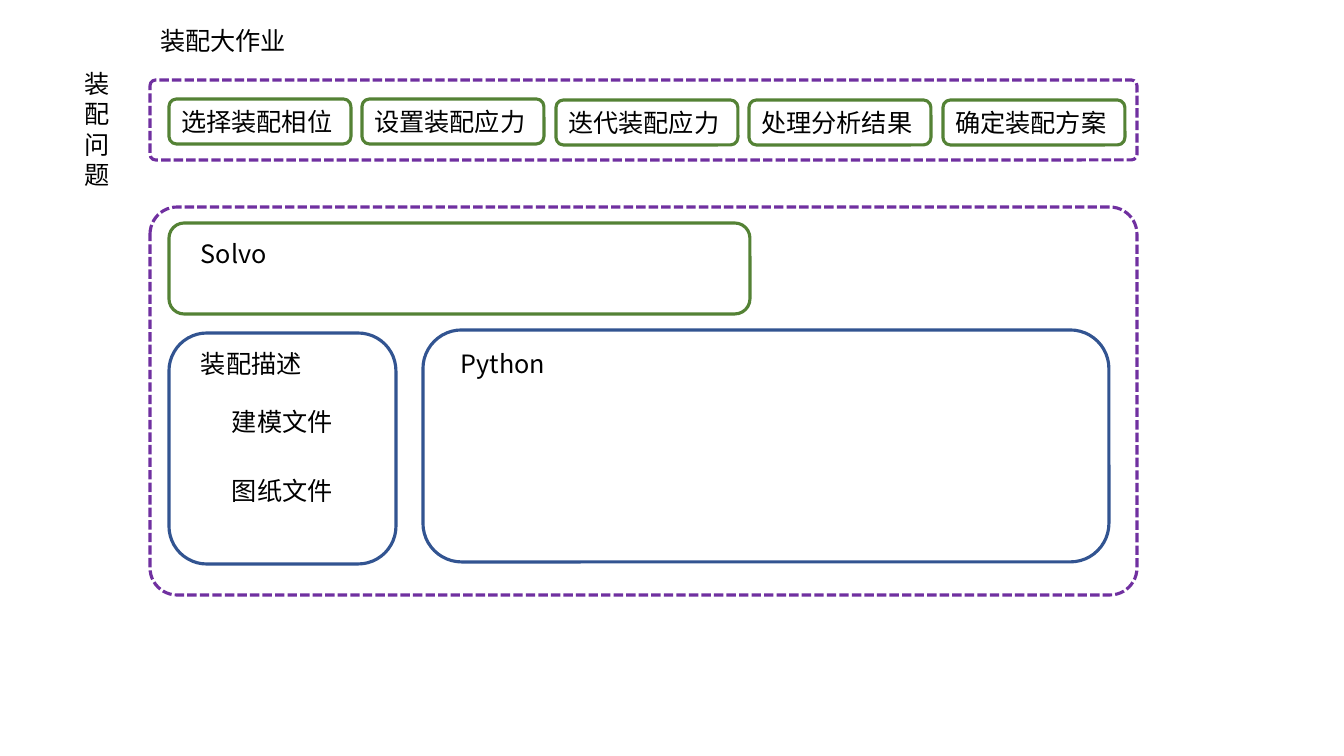
"""Build the assembly coursework structure slide."""
from typing import NamedTuple

from pptx import Presentation
from pptx.dml.color import RGBColor
from pptx.enum.dml import MSO_LINE
from pptx.enum.shapes import MSO_SHAPE
from pptx.enum.text import MSO_ANCHOR, PP_ALIGN
from pptx.shapes.autoshape import Shape
from pptx.slide import Slide
from pptx.util import Emu, Pt

FONT = "Noto Sans CJK SC"
BLACK = RGBColor(0x00, 0x00, 0x00)
PURPLE = RGBColor(0x70, 0x30, 0xA0)
GREEN = RGBColor(0x54, 0x82, 0x35)
BLUE = RGBColor(0x32, 0x54, 0x91)
STEP_LEFT, STEP_SPAN = 169, 774


class Area(NamedTuple):
    left: int
    top: int
    width: int
    height: int


class Frame(NamedTuple):
    area: Area
    color: RGBColor
    dashed: bool = False
    text: str = ""


class Label(NamedTuple):
    area: Area
    text: str


TITLE = Label(Area(150, 20, 300, 40), "装配大作业")
STEPS = ["选择装配相位", "设置装配应力", "迭代装配应力", "处理分析结果", "确定装配方案"]
FRAMES = [
    Frame(Area(150, 80, 987, 80), PURPLE, True),
    Frame(Area(150, 207, 987, 388), PURPLE, True),
    Frame(Area(169, 333, 227, 231), BLUE),
    Frame(Area(169, 223, 581, 91), GREEN),
    Frame(Area(423, 330, 686, 232), BLUE),
] + [
    Frame(Area(STEP_LEFT + index * STEP_SPAN // 4, 99 if index < 2 else 100, 182, 45), GREEN, text=text)
    for index, text in enumerate(STEPS)
]
LABELS = [
    Label(Area(75, 63, 58, 132), "装配问题"),
    Label(Area(191, 343, 121, 40), "装配描述"),
    Label(Area(222, 401, 173, 40), "建模文件"),
    Label(Area(222, 470, 173, 40), "图纸文件"),
    Label(Area(191, 233, 259, 40), "Solvo"),
    Label(Area(451, 343, 221, 40), "Python"),
]


def px(length: int) -> Emu:
    """Turn px into EMU."""
    return Emu(round(length * 914400 / 100.8))


def write(box: Shape, text: str) -> None:
    """Fill a box with one left-aligned paragraph."""
    frame = box.text_frame
    frame.word_wrap = True
    frame.vertical_anchor = MSO_ANCHOR.MIDDLE
    frame.text = text
    paragraph = frame.paragraphs[0]
    paragraph.alignment = PP_ALIGN.LEFT
    paragraph.line_spacing = Pt(21.6)
    paragraph.font.name = FONT
    paragraph.font.size = Pt(18)
    paragraph.font.color.rgb = BLACK


def draw_frame(page: Slide, frame: Frame) -> None:
    """Draw an unfilled rounded frame."""
    box = page.shapes.add_shape(MSO_SHAPE.ROUNDED_RECTANGLE, *map(px, frame.area))
    box.shadow.inherit = False
    box.fill.background()
    box.line.color.rgb = frame.color
    box.line.width = Pt(2.25)
    if frame.dashed:
        box.adjustments[0] = 0.07
        box.line.dash_style = MSO_LINE.SQUARE_DOT
    if frame.text:
        write(box, frame.text)


def draw_label(page: Slide, label: Label) -> None:
    """Draw a plain text label."""
    write(page.shapes.add_textbox(*map(px, label.area)), label.text)


def place_title(page: Slide, label: Label) -> None:
    """Move and format the title placeholder."""
    title = page.shapes.title
    title.left, title.top, title.width, title.height = map(px, label.area)
    write(title, label.text)


def main() -> None:
    """Build and save the deck."""
    deck = Presentation()
    deck.slide_width, deck.slide_height = px(1344), px(756)
    page = deck.slides.add_slide(deck.slide_layouts[5])
    place_title(page, TITLE)
    for frame in FRAMES:
        draw_frame(page, frame)
    for label in LABELS:
        draw_label(page, label)
    deck.save("out.pptx")


if __name__ == "__main__":
    main()
